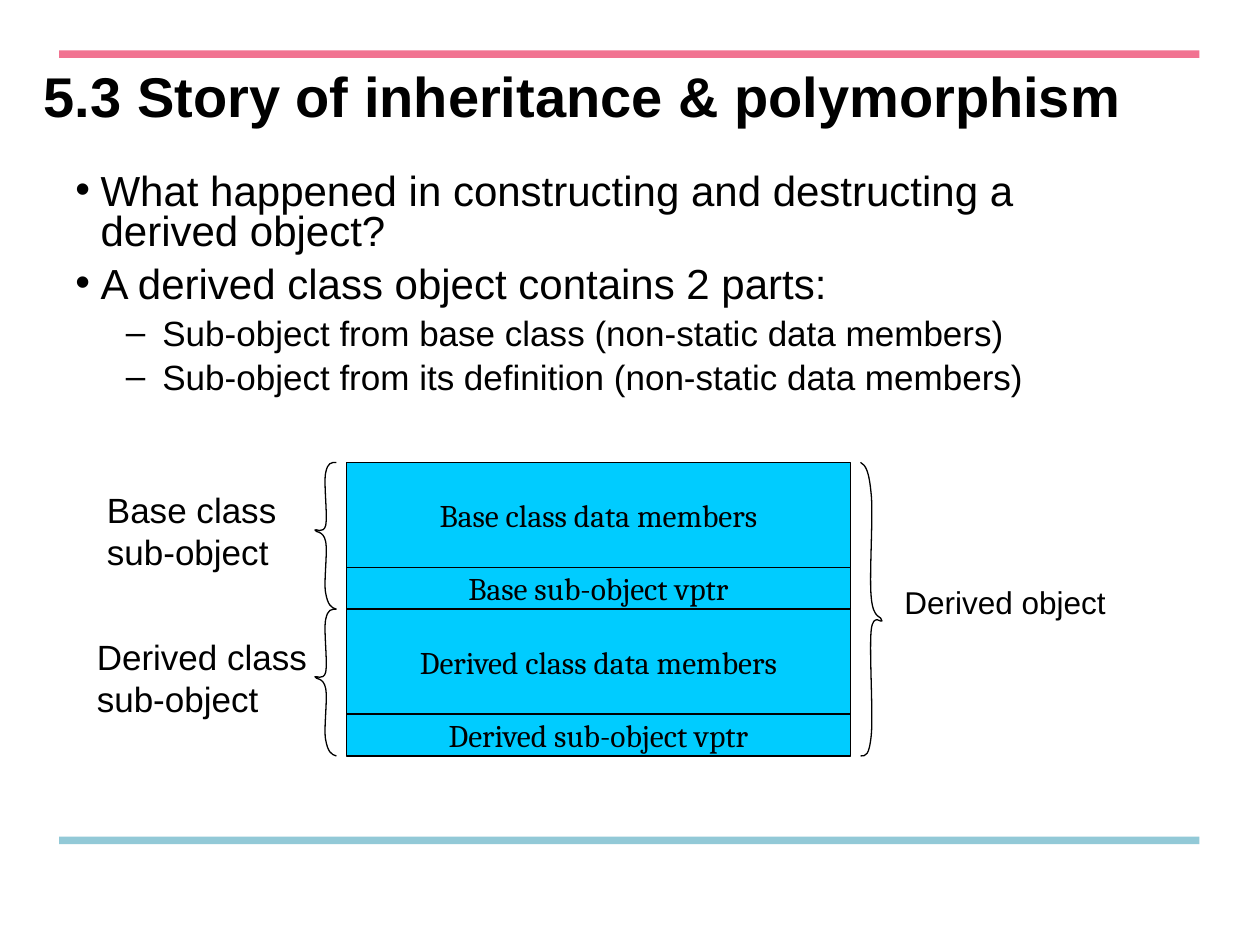
from dataclasses import dataclass

from lxml.etree import SubElement
from pptx import Presentation
from pptx.dml.color import RGBColor
from pptx.enum.shapes import MSO_SHAPE as Shape
from pptx.enum.text import MSO_ANCHOR as Anchor, PP_ALIGN as Align
from pptx.oxml.ns import qn
from pptx.util import Inches, Pt


@dataclass(frozen=True)
class Theme:
    ink: RGBColor = RGBColor(0x00, 0x00, 0x00)
    top_rule: RGBColor = RGBColor(0xF1, 0x73, 0x91)
    bottom_rule: RGBColor = RGBColor(0x92, 0xC9, 0xD7)
    cell: RGBColor = RGBColor(0x00, 0xCC, 0xFF)
    sans: str = "Arial"
    serif: str = "Cambria"
    title: Pt = Pt(32)
    body: Pt = Pt(24)
    sub: Pt = Pt(20)
    label: Pt = Pt(18)
    line: Pt = Pt(0.75)


THEME = Theme()

# level: character, left margin, hanging indent, size, space after
BULLETS = {
    0: ("•", 0.2, 0.2, THEME.body, Pt(7.2)),
    1: ("–", 0.69, 0.29, THEME.sub, Pt(6)),
}
POINTS = [
    (0, "What happened in constructing and destructing a derived object?"),
    (0, "A derived class object contains 2 parts:"),
    (1, "Sub-object from base class (non-static data members)"),
    (1, "Sub-object from its definition (non-static data members)"),
]
PARTS = ["Base", "Derived"]
DATA_SHARE = 5 / 7  # share of a sub-object taken by its data members

# Right brace in a unit square: a start, then three Bezier points a segment
BRACE = [
    (0, 0),
    (0.25, 0.01), (0.4, 0.03), (0.5, 0.11),
    (0.6, 0.18), (0.4, 0.39), (0.5, 0.46),
    (0.6, 0.54), (1, 0.52), (1, 0.54),
    (1, 0.55), (0.6, 0.51), (0.5, 0.57),
    (0.4, 0.64), (0.6, 0.86), (0.5, 0.93),
    (0.4, 1), (0.25, 1), (0, 1),
]


def apply(target, values):
    for name, value in values.items():
        setattr(target, name, value)


def write(para, text, size, face=THEME.sans, bold=False):
    span = para.add_run()
    span.text = text
    apply(span.font, {"size": size, "name": face, "bold": bold})
    span.font.color.rgb = THEME.ink


def add_text_box(page, box):
    frame = page.shapes.add_textbox(*map(Inches, box)).text_frame
    frame.word_wrap = True
    return frame


def add_label(page, box, text, size):
    write(add_text_box(page, box).paragraphs[0], text, size)


def outline(shape):
    shape.line.color.rgb = THEME.ink
    shape.line.width = THEME.line


def add_rect(page, box, fill):
    rect = page.shapes.add_shape(Shape.RECTANGLE, *map(Inches, box))
    rect.shadow.inherit = False
    rect.fill.solid()
    rect.fill.fore_color.rgb = fill
    rect.line.fill.background()
    return rect


def add_title(page, box, text):
    para = add_text_box(page, box).paragraphs[0]
    para.line_spacing = Pt(34)
    write(para, text, THEME.title, bold=True)


def add_points(page, box, points):
    frame = add_text_box(page, box)
    for index, (level, text) in enumerate(points):
        para = frame.add_paragraph() if index else frame.paragraphs[0]
        char, margin, hang, size, after = BULLETS[level]
        apply(para, {"level": level, "line_spacing": 0.8, "space_after": after})
        props = para._p.get_or_add_pPr()
        props.set("marL", str(Inches(margin)))
        props.set("indent", str(-Inches(hang)))
        SubElement(props, qn("a:buFont")).set("typeface", THEME.sans)
        SubElement(props, qn("a:buChar")).set("char", char)
        para.font.size = size
        write(para, text, size)


def add_cell(page, box, text):
    cell = add_rect(page, box, THEME.cell)
    outline(cell)
    apply(cell.text_frame, {"vertical_anchor": Anchor.MIDDLE, "word_wrap": False})
    para = cell.text_frame.paragraphs[0]
    para.alignment = Align.CENTER
    write(para, text, THEME.label, THEME.serif)


def curve_lines(shape):
    """Turn each three line segments of a freeform into one Bezier curve."""
    lines = list(shape._element.iter(qn("a:lnTo")))
    for start in range(0, len(lines), 3):
        trio = lines[start:start + 3]
        curve = SubElement(trio[0].getparent(), qn("a:cubicBezTo"))
        for line in trio:
            curve.append(line[0])
            line.getparent().remove(line)


def add_brace(page, box, turned=False):
    """Draw a right brace, or the same one turned half round."""
    left, top, width, height = box
    unit = [(1 - x, 1 - y) for x, y in BRACE] if turned else BRACE
    spots = [(Inches(left + x * width), Inches(top + y * height)) for x, y in unit]
    builder = page.shapes.build_freeform(*spots[0])
    builder.add_line_segments(spots[1:], close=False)
    brace = builder.convert_to_shape()
    curve_lines(brace)
    brace.shadow.inherit = False
    brace.fill.background()
    outline(brace)


def add_object_layout(page, box):
    """Stack the sub-objects in the box, with braces and labels at its sides."""
    left, top, width, height = box
    brace_width, gap = 0.17, 0.08
    part_height = height / len(PARTS)
    data_height = part_height * DATA_SHARE
    for index, part in enumerate(PARTS):
        part_top = top + index * part_height
        add_cell(page, (left, part_top, width, data_height),
                 f"{part} class data members")
        add_cell(page, (left, part_top + data_height, width, part_height - data_height),
                 f"{part} sub-object vptr")
        add_brace(page, (left - gap - brace_width, part_top, brace_width, part_height),
                  turned=True)
        label_width = 1.92 + 0.08 * index
        add_label(page, (left - gap - label_width, part_top + 0.16, label_width, 0.77),
                  f"{part} class sub-object", THEME.sub)
    right = left + width
    add_brace(page, (right + gap, top, brace_width, height))
    add_label(page, (right + 0.33, top + 0.91, 2.33, 0.4), "Derived object", THEME.label)


def main():
    deck = Presentation()
    deck.slide_width, deck.slide_height = Inches(10), Inches(7.5)
    page = deck.slides.add_slide(deck.slide_layouts[6])
    for top, color in ((6.64, THEME.bottom_rule), (0.4, THEME.top_rule)):
        add_rect(page, (0.47, top, 9.05, 0.06), color)
    add_title(page, (0.25, 0.5, 9.4, 0.75), "5.3 Story of inheritance & polymorphism")
    add_points(page, (0.5, 1.33, 8.75, 1.92), POINTS)
    add_object_layout(page, (2.75, 3.67, 4, 2.33))
    deck.save("out.pptx")


if __name__ == "__main__":
    main()
